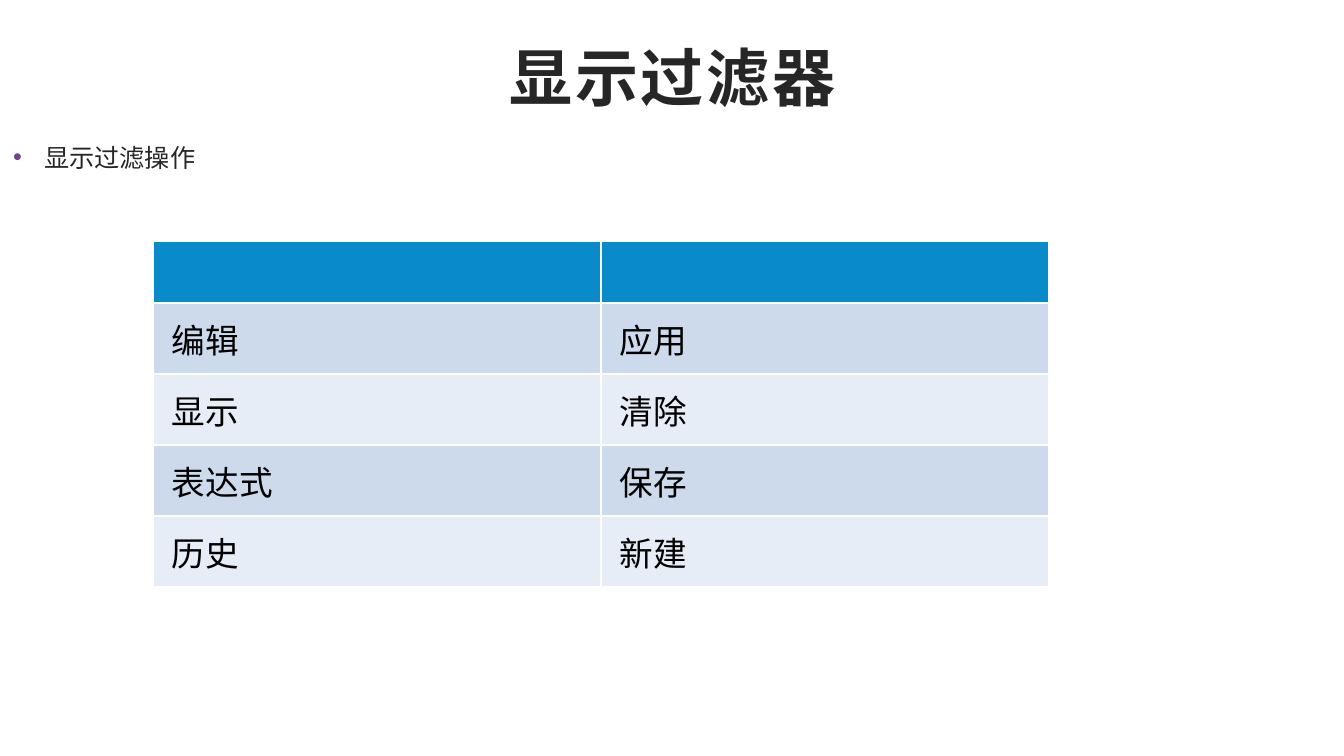
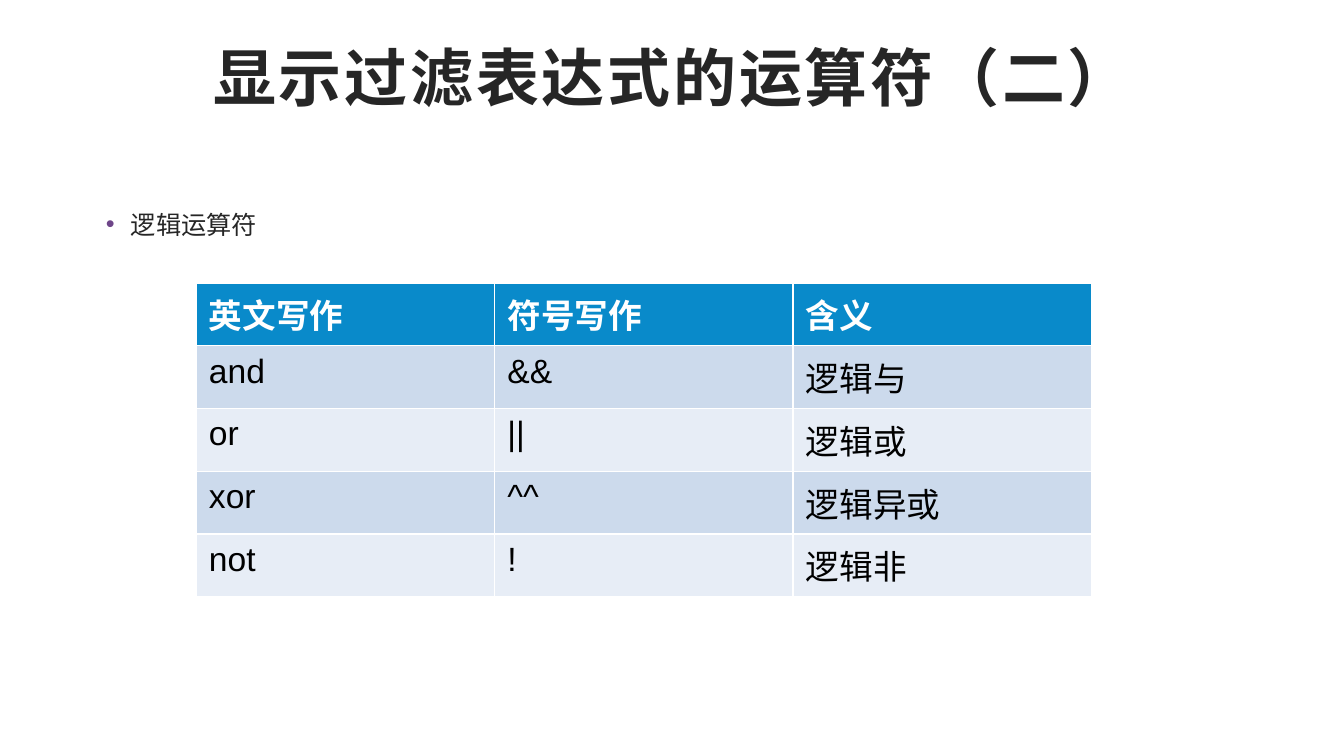
from pptx import Presentation
from pptx.dml.color import RGBColor
from pptx.enum.text import MSO_ANCHOR, MSO_AUTO_SIZE, PP_ALIGN
from pptx.oxml.ns import qn
from pptx.util import Pt
from lxml.etree import SubElement

PX = 914400 / 100.8
WIDE, HIGH = 1344, 756
INK, BLACK, WHITE = "262626", "000000", "FFFFFF"
DOT, HEAD, BANDS = "6E4589", "098ACA", ("CCDAEC", "E7EDF6")
TITLE = {"name": "Arial", "size": Pt(45), "bold": True}
POINT = {"name": "Arial", "size": Pt(18)}
PAD = (13, 7)

SLIDES = [
    {
        "title": "显示过滤器",
        "point": "显示过滤操作", "box": (0, 135, 1169, 85), "indent": 31,
        "rows": [("", ""), ("编辑", "应用"), ("显示", "清除"),
                 ("表达式", "保存"), ("历史", "新建")],
        "at": (153, 241), "col": 448, "head": 62, "row": 71,
        "font": "DejaVu Sans", "pad": (19, 11), "anchor": MSO_ANCHOR.MIDDLE,
    },
    {
        "title": "显示过滤表达式的运算符（二）",
        "point": "逻辑运算符", "box": (93, 202, 1182, 60), "indent": 25,
        "rows": [("英文写作", "符号写作", "含义"), ("and", "&&", "逻辑与"),
                 ("or", "||", "逻辑或"), ("xor", "^^", "逻辑异或"),
                 ("not", "!", "逻辑非")],
        "at": (196, 283), "col": 298.5, "head": 62, "row": 62,
        "font": "Arial", "pad": PAD, "anchor": MSO_ANCHOR.TOP,
    },
]


def px(n):
    return round(n * PX)


def rgb(code):
    return RGBColor.from_string(code)


def style(font, color, form):
    for key, value in form.items():
        setattr(font, key, value)
    font.color.rgb = rgb(color)


def inset(part, pad):
    """Set the margins of a text frame or a table cell."""
    for side, n in zip(("left", "top", "right", "bottom"), pad * 2):
        setattr(part, "margin_" + side, px(n))


def setup(frame):
    frame.word_wrap = True
    frame.auto_size = MSO_AUTO_SIZE.NONE
    frame.vertical_anchor = MSO_ANCHOR.TOP
    inset(frame, PAD)


def add_title(slide, text):
    shape = slide.shapes.title
    shape.left, shape.top, shape.width, shape.height = map(px, (93, 40, 1159, 146))
    setup(shape.text_frame)
    para = shape.text_frame.paragraphs[0]
    para.alignment, para.line_spacing = PP_ALIGN.CENTER, 0.9
    run = para.add_run()
    run.text = text
    style(run.font, INK, TITLE)
    run.font._element.set("spc", "200")


def add_point(slide, text, box, indent):
    frame = slide.shapes.add_textbox(*map(px, box)).text_frame
    setup(frame)
    para = frame.paragraphs[0]
    props = para._p.get_or_add_pPr()
    props.set("marL", str(px(indent)))
    props.set("indent", str(-px(indent)))
    SubElement(SubElement(props, qn("a:buClr")), qn("a:srgbClr"), val=DOT)
    SubElement(props, qn("a:buFont"), typeface="Arial")
    SubElement(props, qn("a:buChar"), char="•")
    run = para.add_run()
    run.text = text
    style(run.font, INK, POINT)


def add_grid(slide, data):
    rows, col = data["rows"], data["col"]
    count, wide = len(rows), len(rows[0])
    highs = [data["head"]] + [data["row"]] * (count - 1)
    spot = (*data["at"], col * wide, sum(highs))
    table = slide.shapes.add_table(count, wide, *map(px, spot)).table
    for column in table.columns:
        column.width = px(col)
    for i, (row, high) in enumerate(zip(rows, highs)):
        table.rows[i].height = px(high)
        head = i == 0
        for j, text in enumerate(row):
            cell = table.cell(i, j)
            cell.fill.solid()
            cell.fill.fore_color.rgb = rgb(HEAD if head else BANDS[(i - 1) % 2])
            cell.vertical_anchor = data["anchor"]
            inset(cell, data["pad"])
            if text:
                run = cell.text_frame.paragraphs[0].add_run()
                run.text = text
                form = {"name": data["font"], "size": Pt(24), "bold": head}
                style(run.font, WHITE if head else BLACK, form)


def main():
    deck = Presentation()
    deck.slide_width, deck.slide_height = px(WIDE), px(HIGH)
    for data in SLIDES:
        slide = deck.slides.add_slide(deck.slide_layouts[5])
        add_title(slide, data["title"])
        add_point(slide, data["point"], data["box"], data["indent"])
        add_grid(slide, data)
    deck.save("out.pptx")


if __name__ == "__main__":
    main()
